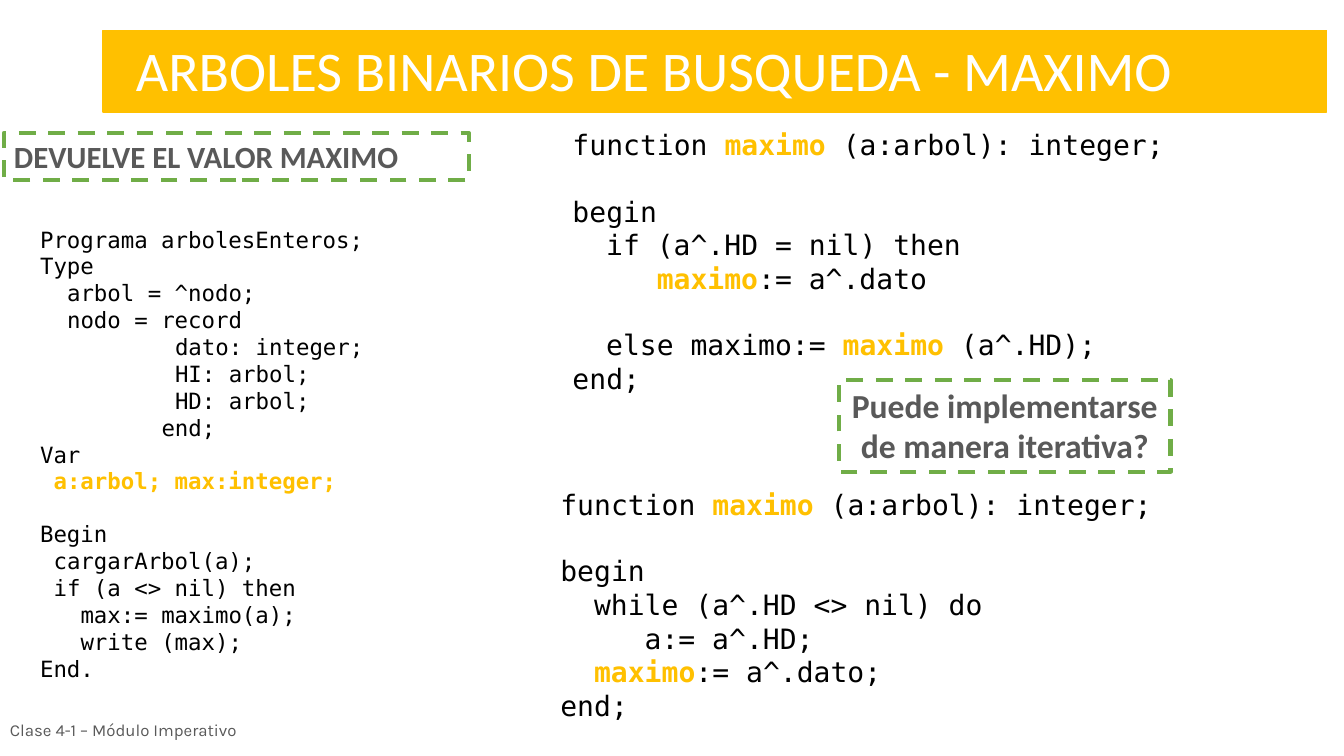
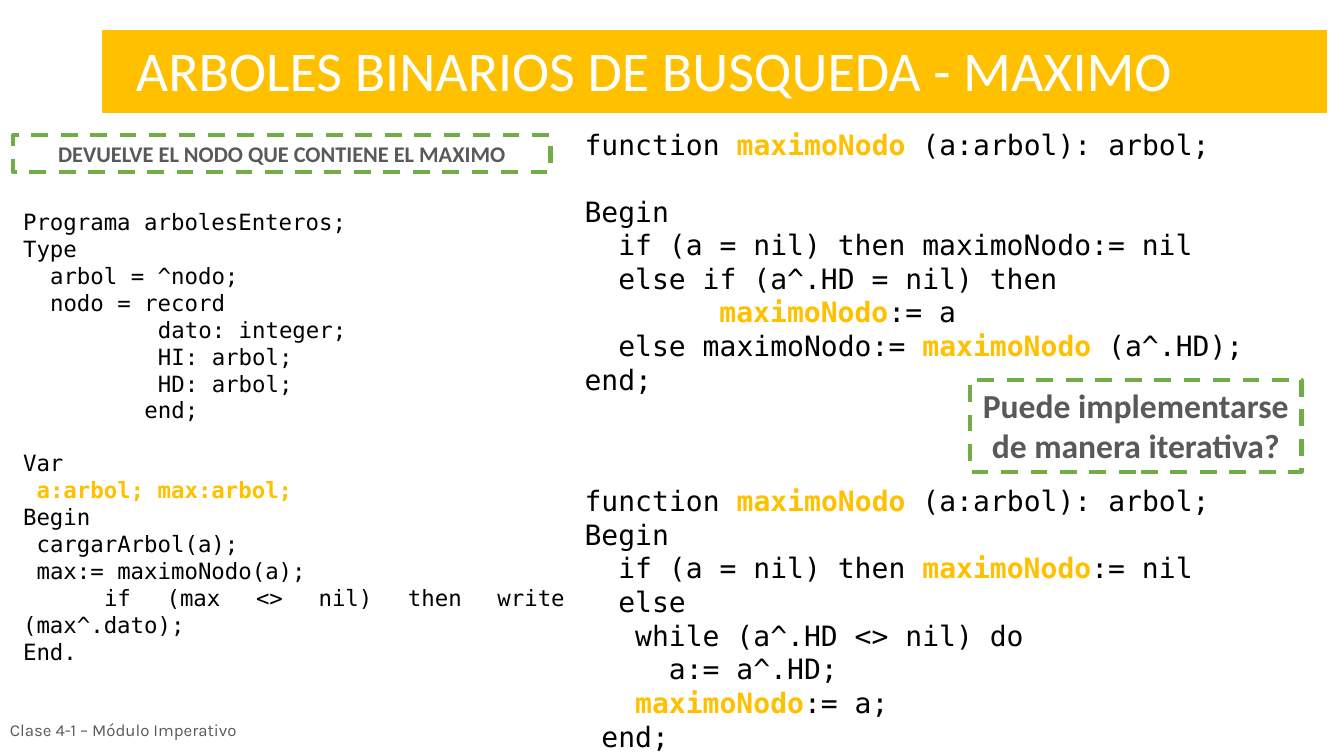
from pptx import Presentation
from pptx.dml.color import RGBColor
from pptx.enum.dml import MSO_LINE
from pptx.enum.shapes import MSO_SHAPE
from pptx.enum.text import MSO_ANCHOR, PP_ALIGN
from pptx.util import Inches, Pt

RECT = MSO_SHAPE.RECTANGLE
DASH = MSO_LINE.DASH
TOP, MIDDLE = MSO_ANCHOR.TOP, MSO_ANCHOR.MIDDLE
LEFT, CENTER, JUSTIFY = PP_ALIGN.LEFT, PP_ALIGN.CENTER, PP_ALIGN.JUSTIFY

HEX = {"gold": "FFC000", "green": "70AD47", "gray": "595959",
       "black": "000000", "white": "FFFFFF"}
RGB = {name: RGBColor.from_string(code) for name, code in HEX.items()}

MONO = "DejaVu Sans Mono"
CHAR, LINE = 0.602, 1.164

STYLES = {
    "title": ({"name": "Calibri", "size": Pt(40), "bold": False}, "white", LEFT),
    "footer": ({"name": "Karla", "size": Pt(12), "bold": False}, "gray", LEFT),
    "goal": ({"name": "Calibri", "size": Pt(22), "bold": True}, "gray", LEFT),
    "label": ({"name": "Calibri", "size": Pt(16), "bold": True}, "gray", CENTER),
    "ask": ({"name": "Calibri", "size": Pt(24), "bold": True}, "gray", CENTER),
    "main": ({"name": MONO, "size": Pt(16), "bold": False}, "black", JUSTIFY),
    "code": ({"name": MONO, "size": Pt(20), "bold": False}, "black", JUSTIFY),
}

TITLE = "ARBOLES BINARIOS DE BUSQUEDA - MAXIMO"
FOOTER = "Clase 4-1 – Módulo Imperativo"
ASK = "Puede implementarse de manera iterativa?"

TYPES = """Programa arbolesEnteros;
Type
  arbol = ^nodo;
  nodo = record
          dato: integer;
          HI: arbol;
          HD: arbol;
         end;
"""

VALUE_MAIN = TYPES + """Var
 *a:arbol; max:integer;*

Begin
 cargarArbol(a);
 if (a <> nil) then
   max:= maximo(a);
   write (max);
End."""

VALUE_REC = """function *maximo* (a:arbol): integer;

begin
  if (a^.HD = nil) then
     *maximo*:= a^.dato

  else maximo:= *maximo* (a^.HD);
end;"""

VALUE_LOOP = """function *maximo* (a:arbol): integer;

begin
  while (a^.HD <> nil) do
     a:= a^.HD;
  *maximo*:= a^.dato;
end;"""

NODE_MAIN = TYPES + """
Var
 *a:arbol; max:arbol;*
Begin
 cargarArbol(a);
 max:= maximoNodo(a);
      if (max <> nil) then write (max^.dato);
End."""

NODE_REC = """function *maximoNodo* (a:arbol): arbol;

Begin
  if (a = nil) then maximoNodo:= nil
  else if (a^.HD = nil) then
        *maximoNodo*:= a
  else maximoNodo:= *maximoNodo* (a^.HD);
end;"""

NODE_LOOP = """function *maximoNodo* (a:arbol): arbol;
Begin
  if (a = nil) then *maximoNodo*:= nil
  else
   while (a^.HD <> nil) do
     a:= a^.HD;
   *maximoNodo*:= a;
 end;"""

SLIDES = [
    [("main", VALUE_MAIN, 2.25, 29.2, 32.63, 62.4),
     ("goal", "DEVUELVE EL VALOR MAXIMO", 0.3, 17.6, 34.58, 6.27),
     ("code", VALUE_REC, 41.86, 16.27, 55, 37.2),
     ("ask", ASK, 62.42, 50.27, 24.68, 12.13),
     ("code", VALUE_LOOP, 40.96, 63.87, 55, 32.8)],
    [("code", NODE_REC, 42.76, 16.27, 55, 37.2),
     ("ask", ASK, 72.17, 50.27, 24.68, 12.13),
     ("code", NODE_LOOP, 42.76, 63.33, 55, 37.2),
     ("main", NODE_MAIN, 0.98, 26.93, 41.79, 58.8),
     ("label", "DEVUELVE EL NODO QUE CONTIENE EL MAXIMO", 0.98, 17.87, 39.98, 4.93)],
]
SHARED = [("title", TITLE, 9.38, 4, 87.47, 10.27),
          ("footer", FOOTER, 0, 93.47, 22.28, 6)]
BAND = (7.65, 4, 91.07, 10.8)
BOXED = ("goal", "label", "ask")

deck = Presentation()
deck.slide_width, deck.slide_height = Inches(13.33), Inches(7.5)
COL, ROW = deck.slide_width / 100, deck.slide_height / 100


def place(x, y, w, h):
    return int(x * COL), int(y * ROW), int(w * COL), int(h * ROW)


def write(frame, kind, text):
    form, color, align = STYLES[kind]
    size = form["size"]
    frame.word_wrap = True
    frame.vertical_anchor = MIDDLE if kind == "footer" else TOP
    para, gap = frame.paragraphs[0], 0
    for row, line in enumerate(text.split("\n")):
        body = line.lstrip()
        if not body:
            gap = int(size * LINE)
            continue
        if row:
            para = frame.add_paragraph()
        para.alignment = align
        para.space_before, gap = gap, 0
        props = para._p.get_or_add_pPr()
        props.set("marL", "0")
        props.set("indent", str(int((len(line) - len(body)) * CHAR * size)))
        for part, words in enumerate(body.split("*")):
            if not words:
                continue
            run = para.add_run()
            run.text = words
            for key, value in form.items():
                setattr(run.font, key, value)
            run.font.color.rgb = RGB[color]
            if part % 2:
                run.font.bold = True
                run.font.color.rgb = RGB["gold"]


for items in SLIDES:
    slide = deck.slides.add_slide(deck.slide_layouts[6])
    band = slide.shapes.add_shape(RECT, *place(*BAND))
    band.shadow.inherit = False
    band.fill.solid()
    band.fill.fore_color.rgb = RGB["gold"]
    band.line.color.rgb = RGB["gold"]
    band.line.width = Pt(1)
    for kind, text, *area in SHARED + items:
        if kind in BOXED:
            box = slide.shapes.add_shape(RECT, *place(*area))
            box.shadow.inherit = False
            box.fill.background()
            box.line.color.rgb = RGB["green"]
            box.line.width = Pt(3)
            box.line.dash_style = DASH
        else:
            box = slide.shapes.add_textbox(*place(*area))
        write(box.text_frame, kind, text)

deck.save("out.pptx")
